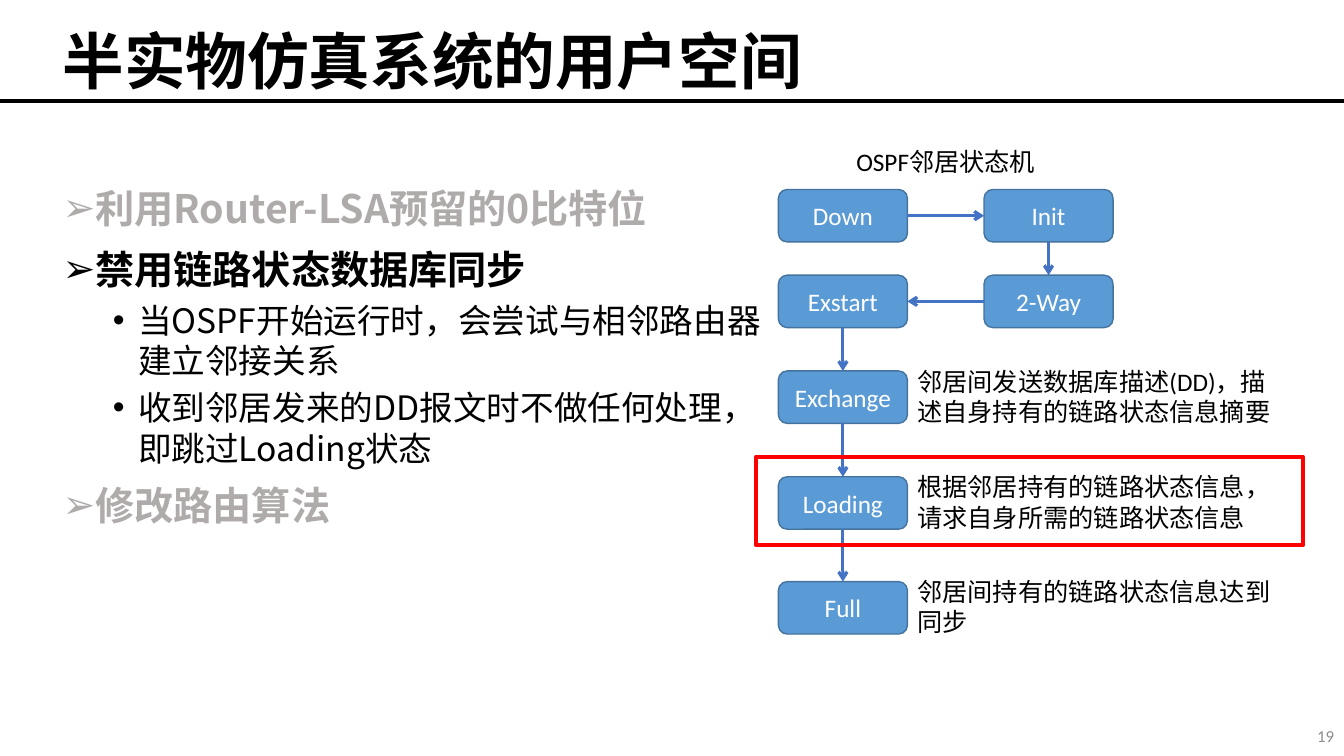
from dataclasses import dataclass

from lxml import etree
from pptx import Presentation
from pptx import util as u
from pptx.dml.color import RGBColor
from pptx.enum import shapes, text
from pptx.oxml import ns

PX = 9144  # EMU in one px, 100 px to the inch


@dataclass(frozen=True)
class Theme:
    ink: str = "000000"
    muted: str = "AFABAB"
    page_number: str = "8C8C8C"
    node_fill: str = "5B9BD5"
    node_line: str = "43739E"
    node_text: str = "FFFFFF"
    arrow: str = "4472C4"
    highlight: str = "FF0000"
    title_size: int = 44
    topic_size: int = 28
    detail_size: int = 24
    label_size: int = 18
    number_size: int = 12
    leading: float = 1.2
    title_font: str = "Arial"
    body_font: str = "Noto Sans CJK SC"
    label_font: str = "Calibri"


THEME = Theme()
TOP, LEFT, BOTTOM, RIGHT = range(4)  # connection sites of a box
NODE_SIZE = (128, 52)
COLUMNS = (772, 976)
NODES = {
    "Down": (0, 188), "Init": (1, 188), "2-Way": (1, 273), "Exstart": (0, 273),
    "Exchange": (0, 368), "Loading": (0, 473), "Full": (0, 577),
}
ARROWS = [
    ("Down", RIGHT, "Init", LEFT),
    ("Init", BOTTOM, "2-Way", TOP),
    ("2-Way", LEFT, "Exstart", RIGHT),
    ("Exstart", BOTTOM, "Exchange", TOP),
    ("Exchange", BOTTOM, "Loading", TOP),
    ("Loading", BOTTOM, "Full", TOP),
]
NOTES = {
    "Exchange": "邻居间发送数据库描述(DD)，描述自身持有的链路状态信息摘要",
    "Loading": "根据邻居持有的链路状态信息，请求自身所需的链路状态信息",
    "Full": "邻居间持有的链路状态信息达到同步",
}
OUTLINE = [
    (0, "利用Router-LSA预留的0比特位", THEME.muted),
    (0, "禁用链路状态数据库同步", THEME.ink),
    (1, "当OSPF开始运行时，会尝试与相邻路由器建立邻接关系", THEME.ink),
    (1, "收到邻居发来的DD报文时不做任何处理，即跳过Loading状态", THEME.ink),
    (0, "修改路由算法", THEME.muted),
]


def px(*lengths):
    return [u.Emu(length * PX) for length in lengths]


def rgb(value):
    return RGBColor.from_string(value)


def write(para, words, *, size=THEME.label_size, font=THEME.label_font,
          color=THEME.ink, bold=False, align=text.PP_ALIGN.LEFT, before=0):
    para.alignment = align
    para.line_spacing = u.Pt(round(size * THEME.leading, 1))
    para.space_before = u.Pt(before)
    span = para.add_run()
    span.text = words
    span.font.size = u.Pt(size)
    span.font.name = font
    span.font.bold = bold
    span.font.color.rgb = rgb(color)
    east_asian = etree.SubElement(span.font._element, ns.qn("a:ea"))
    east_asian.set("typeface", THEME.body_font)


def set_bullet(para, mark, margin, hanging):
    properties = para._p.get_or_add_pPr()
    left, indent = px(margin, -hanging)
    properties.set("marL", str(left))
    properties.set("indent", str(indent))
    etree.SubElement(properties, ns.qn("a:buFont")).set("typeface", THEME.title_font)
    etree.SubElement(properties, ns.qn("a:buChar")).set("char", mark)


def place(shape, *bounds):
    shape.left, shape.top, shape.width, shape.height = px(*bounds)


def add_label(parent, words, bounds, *, grow=True, **style):
    box = parent.add_textbox(*px(*bounds))
    frame = box.text_frame
    frame.word_wrap = True
    if grow:
        frame.auto_size = text.MSO_AUTO_SIZE.SHAPE_TO_FIT_TEXT
    else:
        frame.vertical_anchor = text.MSO_ANCHOR.MIDDLE
    write(frame.paragraphs[0], words, **style)


def add_box(parent, kind, bounds, line, width, fill=None):
    box = parent.add_shape(kind, *px(*bounds))
    box.shadow.inherit = False
    if fill:
        box.fill.solid()
        box.fill.fore_color.rgb = rgb(fill)
    else:
        box.fill.background()
    box.line.color.rgb = rgb(line)
    box.line.width = u.Pt(width)
    return box


def add_node(parent, name):
    column, top = NODES[name]
    node = add_box(parent, shapes.MSO_SHAPE.ROUNDED_RECTANGLE,
                   (COLUMNS[column], top, *NODE_SIZE),
                   THEME.node_line, 1, THEME.node_fill)
    node.text_frame.vertical_anchor = text.MSO_ANCHOR.MIDDLE
    write(node.text_frame.paragraphs[0], name, color=THEME.node_text,
          align=text.PP_ALIGN.CENTER)
    return node


def add_line(parent, ends, color, width):
    line = parent.add_connector(shapes.MSO_CONNECTOR.STRAIGHT, *px(*ends))
    line.line.color.rgb = rgb(color)
    line.line.width = u.Pt(width)
    etree.SubElement(line._element.spPr, ns.qn("a:effectLst"))
    return line


def add_arrow(parent, start, start_site, end, end_site):
    arrow = add_line(parent, (0, 0, 0, 0), THEME.arrow, 2.25)
    arrow.begin_connect(start, start_site)
    arrow.end_connect(end, end_site)
    stroke = arrow.line._get_or_add_ln()
    etree.SubElement(stroke, ns.qn("a:tailEnd")).set("type", "arrow")


def fill_title(title):
    place(title, 52, 10, 836, 98)
    title.text_frame.vertical_anchor = text.MSO_ANCHOR.MIDDLE
    title.text_frame.auto_size = text.MSO_AUTO_SIZE.NONE
    write(title.text_frame.paragraphs[0], "半实物仿真系统的用户空间",
          size=THEME.title_size, font=THEME.title_font, bold=True)


def fill_outline(body):
    place(body, 52, 178, 726, 562)
    frame = body.text_frame
    frame.auto_size = text.MSO_AUTO_SIZE.NONE
    for index, (level, words, color) in enumerate(OUTLINE):
        para = frame.add_paragraph() if index else frame.paragraphs[0]
        para.level = level
        topic = level == 0
        write(para, words, size=THEME.topic_size if topic else THEME.detail_size,
              font=THEME.body_font, color=color, bold=topic,
              before=10 if topic else 5)
        set_bullet(para, "➢" if topic else "•", 25 + 50 * level, 25)


def add_state_machine(page):
    parent = page.shapes.add_group_shape().shapes
    nodes = {name: add_node(parent, name) for name in NODES}
    for start, start_site, end, end_site in ARROWS:
        add_arrow(parent, nodes[start], start_site, nodes[end], end_site)
    for name, words in NOTES.items():
        column, top = NODES[name]
        add_label(parent, words,
                  (COLUMNS[column] + NODE_SIZE[0], top - 10, 385, 71))


def main():
    deck = Presentation()
    deck.slide_width, deck.slide_height = px(1333, 750)
    page = deck.slides.add_slide(deck.slide_layouts[1])
    add_line(page.shapes, (0, 100, 1333, 100), THEME.ink, 3)
    fill_title(page.shapes.title)
    fill_outline(page.placeholders[1])
    add_label(page.shapes, "19", (1033, 710, 300, 40), grow=False,
              size=THEME.number_size, color=THEME.page_number,
              align=text.PP_ALIGN.RIGHT)
    add_state_machine(page)
    add_label(page.shapes, "OSPF邻居状态机", (825, 140, 226, 40),
              align=text.PP_ALIGN.CENTER)
    add_box(page.shapes, shapes.MSO_SHAPE.RECTANGLE, (750, 453, 542, 88),
            THEME.highlight, 3)
    deck.save("out.pptx")


if __name__ == "__main__":
    main()
